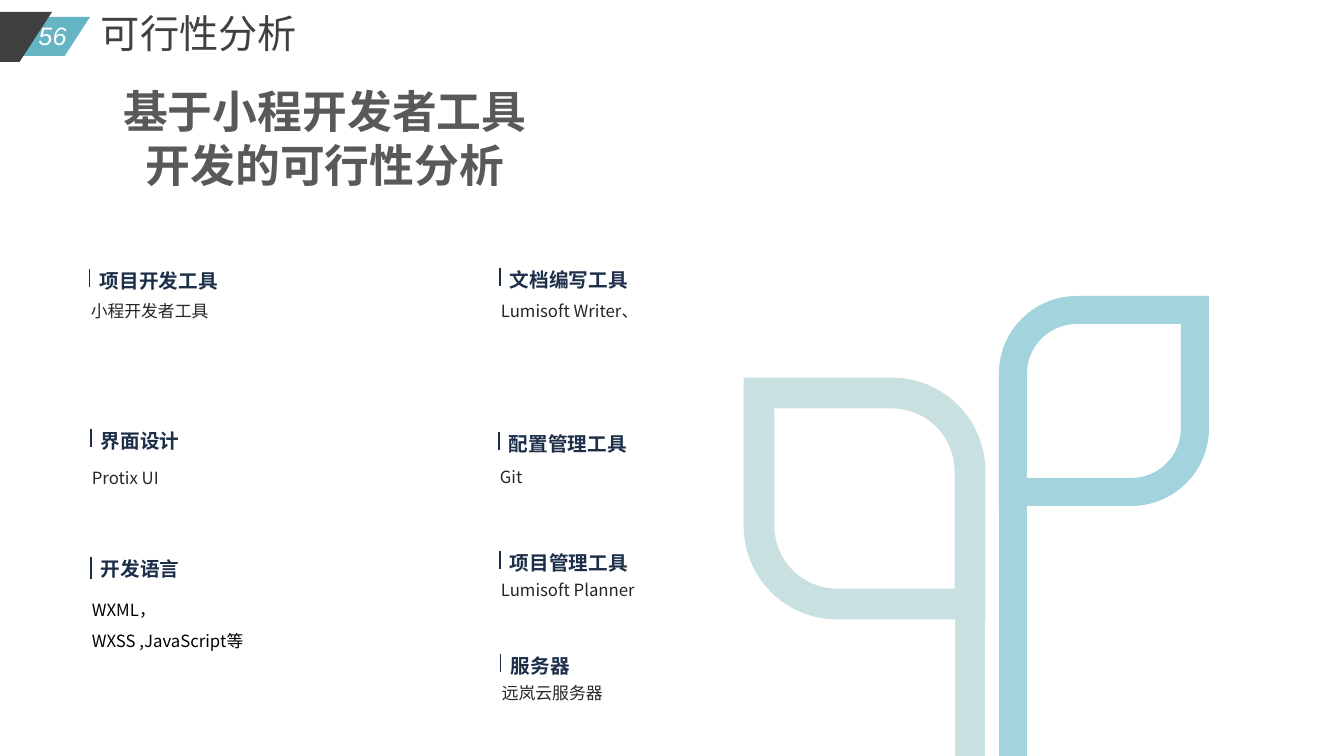
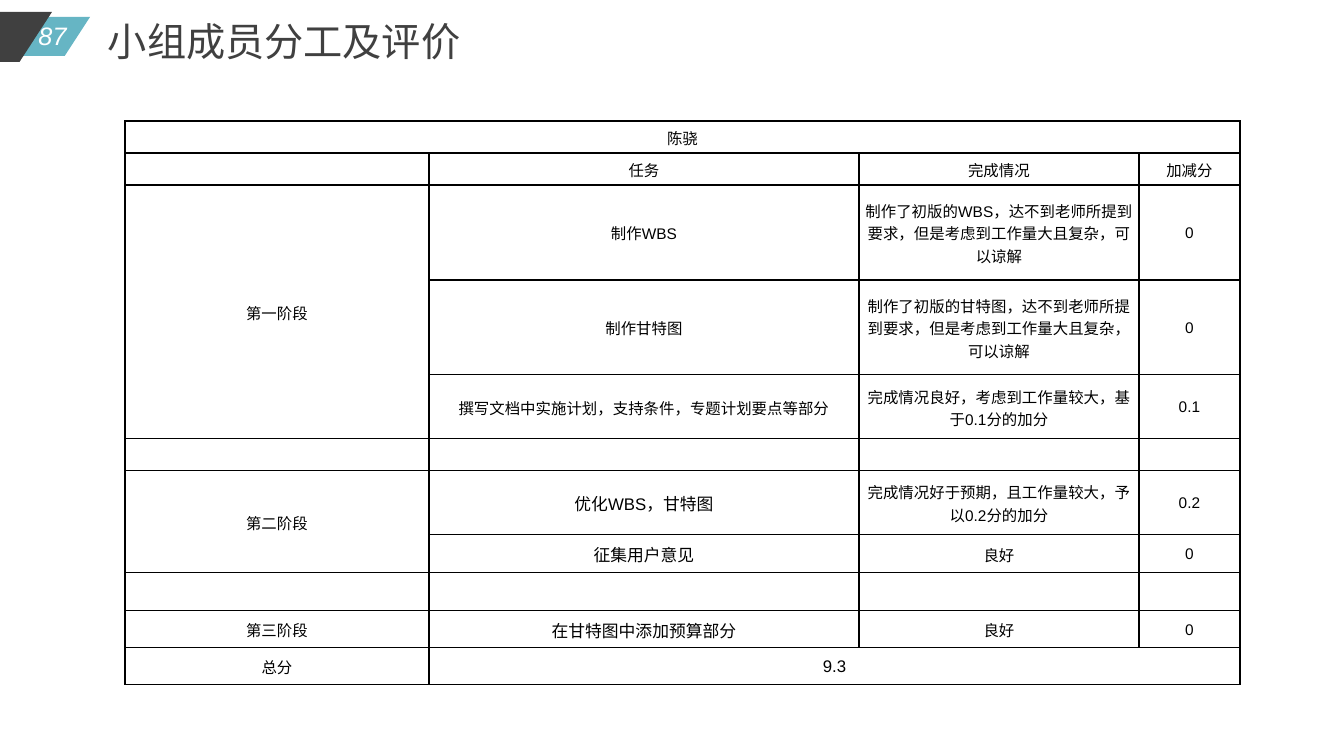
import lxml.etree
import pptx
import pptx.dml.color
import pptx.enum.shapes
import pptx.enum.text
import pptx.oxml.ns
import pptx.util

RGB = pptx.dml.color.RGBColor
WHITE = RGB(0xFF, 0xFF, 0xFF)
BLACK = RGB(0, 0, 0)
DARK = RGB(0x40, 0x40, 0x40)
TEAL = RGB(0x66, 0xB5, 0xC4)
AQUA = RGB(0xA3, 0xD3, 0xDD)
MINT = RGB(0xC8, 0xE0, 0xE0)
NAVY = RGB(0x1C, 0x2E, 0x48)
GREY = RGB(0x59, 0x59, 0x59)
INK = RGB(0x26, 0x26, 0x26)
SANS = "Noto Sans CJK SC"
WIDTH, HEIGHT = 1344, 756
SCALE = 12192000 / WIDTH
SHAPE = pptx.enum.shapes.MSO_SHAPE
ALIGN = pptx.enum.text.PP_ALIGN
MIDDLE = pptx.enum.text.MSO_ANCHOR.MIDDLE


def px(*sizes):
    return [round(size * SCALE) for size in sizes]


def add_node(parent, tag, **attrs):
    return lxml.etree.SubElement(parent, pptx.oxml.ns.qn(tag), **attrs)


class Deck:
    def __init__(self):
        self.file = pptx.Presentation()
        self.file.slide_width, self.file.slide_height = px(WIDTH, HEIGHT)
        self.slide = None

    def start(self, number, title, left, top):
        self.slide = self.file.slides.add_slide(self.file.slide_layouts[6])
        self.band(-111, 17, 201, 39, TEAL)
        self.band(-210, 12, 262, 50, DARK)
        self.text(27, 15, 51, 40, [number], 18, WHITE, "Arial",
                  align=ALIGN.CENTER, italic=True)
        self.text(left, top, 600, 57, [title], 28, DARK)

    def style(self, para, size, color, face=SANS, align=None,
              bold=False, italic=False):
        para.alignment = align
        font = para.font
        font.size = pptx.util.Pt(size)
        font.bold, font.italic = bold, italic
        font.name = face
        font.color.rgb = color
        add_node(font._element, "a:ea", typeface=SANS)

    def text(self, left, top, width, height, lines, size, color,
             face=SANS, space=None, **style):
        box = self.slide.shapes.add_textbox(*px(left, top, width, height))
        frame = box.text_frame
        frame.word_wrap = True
        frame.text = "\n".join(lines)
        for para in frame.paragraphs:
            self.style(para, size, color, face, **style)
            para.line_spacing = space

    def shape(self, kind, left, top, width, height, *curves):
        shape = self.slide.shapes.add_shape(
            kind, *px(left, top, width, height))
        shape.shadow.inherit = False
        for place, curve in enumerate(curves):
            shape.adjustments[place] = curve
        return shape

    def band(self, left, top, width, height, color):
        band = self.shape(SHAPE.PARALLELOGRAM, left, top, width, height, 0.65)
        band.fill.solid()
        band.fill.fore_color.rgb = color
        band.line.fill.background()

    def leaf(self, left, top, side, curves, color, weight):
        leaf = self.shape(SHAPE.ROUND_2_DIAG_RECTANGLE,
                          left, top, side, side, *curves)
        leaf.fill.background()
        leaf.line.color.rgb = color
        leaf.line.width = pptx.util.Pt(weight)
        add_node(leaf.line._get_or_add_ln(), "a:miter", lim="800000")

    def line(self, left, top, foot, color, weight):
        line = self.slide.shapes.add_connector(
            pptx.enum.shapes.MSO_CONNECTOR.STRAIGHT,
            *px(left, top, left, foot))
        line.line.color.rgb = color
        line.line.width = pptx.util.Pt(weight)
        add_node(line._element.spPr, "a:effectLst")

    def item(self, left, top, head, body, drop, color=INK, tall=18):
        self.text(left - 9, top + drop, 205, 38, [body], 12, color, space=1.5)
        self.text(left, top - 5, 160, 34, [head], 14, NAVY, "Calibri",
                  bold=True)
        self.line(left, top, top + tall, NAVY, 0.75)

    def cell(self, cell, words, size):
        cell.margin_left = cell.margin_right = cell.margin_top = px(1)[0]
        cell.margin_bottom = 0
        cell.vertical_anchor = MIDDLE
        cell.text = words
        self.style(cell.text_frame.paragraphs[0], size, BLACK, "Arial",
                   ALIGN.CENTER)
        for side in "LRTB":
            edge = add_node(cell._tc.get_or_add_tcPr(), "a:ln" + side,
                            w=str(pptx.util.Pt(1)))
            fill = add_node(edge, "a:solidFill")
            add_node(fill, "a:srgbClr", val=str(BLACK))
        cell.fill.solid()
        cell.fill.fore_color.rgb = WHITE

    def table(self, left, top, widths, heights, rows, spans, large):
        table = self.slide.shapes.add_table(
            len(rows), len(widths),
            *px(left, top, sum(widths), sum(heights))).table
        table.first_row = table.horz_banding = False
        for col, width in zip(table.columns, px(*widths)):
            col.width = width
        for row, height in zip(table.rows, px(*heights)):
            row.height = height
        for y, row in enumerate(rows):
            for x, words in enumerate(row):
                self.cell(table.cell(y, x), words,
                          12 if (y, x) in large else 11)
        for first, last in spans:
            table.cell(*first).merge(table.cell(*last))


TOOLS = [
    (90, 269, "项目开发工具", "小程开发者工具", 17),
    (91, 429, "界面设计", "Protix UI", 24),
    (91, 557, "开发语言", "WXML，WXSS ,JavaScript等", 28, BLACK, 22),
    (500, 268, "文档编写工具", "Lumisoft Writer、", 18),
    (499, 432, "配置管理工具", "Git", 20),
    (500, 551, "项目管理工具", "Lumisoft Planner", 14),
    (501, 654, "服务器", "远岚云服务器", 14),
]

BLANK = [""] * 4
TASKS = [
    ["陈骁", "", "", ""],
    ["", "任务", "完成情况", "加减分"],
    ["第一阶段", "制作WBS",
     "制作了初版的WBS，达不到老师所提到要求，但是考虑到工作量大且复杂，可以谅解", "0"],
    ["", "制作甘特图",
     "制作了初版的甘特图，达不到老师所提到要求，但是考虑到工作量大且复杂，可以谅解", "0"],
    ["", "撰写文档中实施计划，支持条件，专题计划要点等部分",
     "完成情况良好，考虑到工作量较大，基于0.1分的加分", "0.1"],
    BLANK,
    ["第二阶段", "优化WBS，甘特图",
     "完成情况好于预期，且工作量较大，予以0.2分的加分", "0.2"],
    ["", "征集用户意见", "良好", "0"],
    BLANK,
    ["第三阶段", "在甘特图中添加预算部分", "良好", "0"],
    ["总分", "9.3", "", ""],
]
SPANS = [((0, 0), (0, 3)), ((2, 0), (4, 0)),
         ((6, 0), (7, 0)), ((10, 1), (10, 3))]


def main():
    deck = Deck()

    deck.start("56", "可行性分析", 91, 4)
    deck.leaf(1013, 310, 182, (0.35, 0), AQUA, 20)
    deck.line(1013, 457, HEIGHT, AQUA, 20)
    deck.leaf(759, 393, 211, (0, 0.37), MINT, 22)
    deck.line(970, 499, HEIGHT, MINT, 22)
    for tool in TOOLS:
        deck.item(*tool)
    deck.text(75, 79, 500, 119, ["基于小程开发者工具", "开发的可行性分析"],
              32, GREY, "Arial", align=ALIGN.CENTER, bold=True)

    deck.start("87", "小组成员分工及评价", 98, 12)
    deck.table(125, 121, [304, 430, 280, 101],
               [32, 32, 95, 95, 64, 32, 64, 38, 38, 37, 37],
               TASKS, SPANS, [(y, 1) for y in (6, 7, 9, 10)])

    deck.file.save("out.pptx")


if __name__ == "__main__":
    main()
